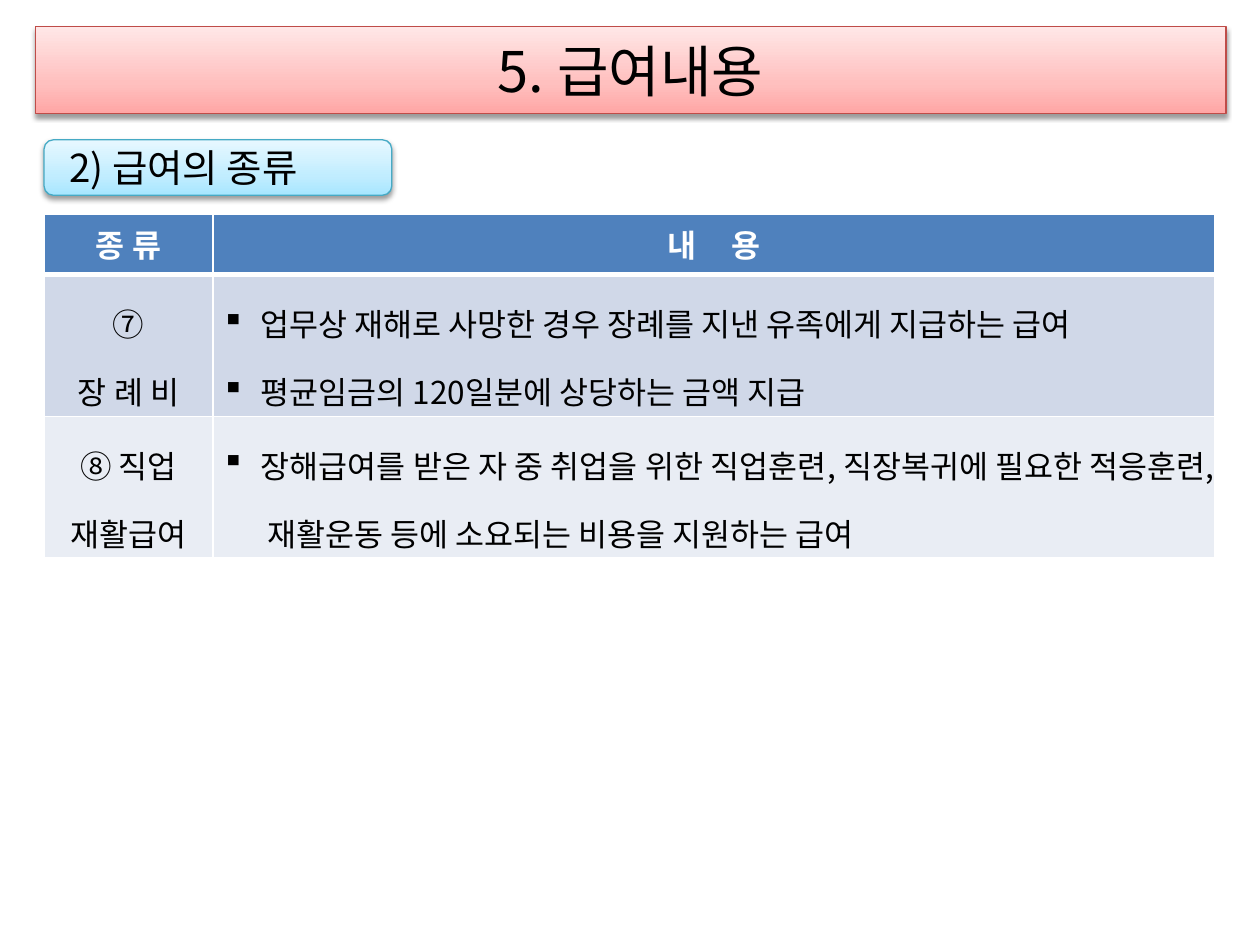
from copy import deepcopy
from dataclasses import dataclass

from lxml import etree
from pptx import Presentation
from pptx.dml.color import RGBColor
from pptx.enum import shapes, text
from pptx.oxml.ns import qn
from pptx.util import Inches, Pt

FONT = "Noto Sans CJK KR"
BLACK, WHITE = "000000", "FFFFFF"
HEADER_FILL = "4F81BD"
HEADER_GAP = 8  # points of letter spacing between the two header syllables
CENTER, JUSTIFY = text.PP_ALIGN.CENTER, text.PP_ALIGN.JUSTIFY


@dataclass
class Banner:
    left: float
    top: float
    width: float
    height: float
    stops: tuple[tuple[int, str], ...]
    line: str


@dataclass
class BenefitRow:
    kind: list[str]
    details: list[str]
    fill: str
    height: float


TITLE = Banner(0.28, 0.21, 9.45, 0.69,
               ((0, "FFA6A5"), (35, "FFC0BF"), (100, "FFE7E7")), "BF4C48")
SUBTITLE = Banner(0.35, 1.11, 2.76, 0.44,
                  ((0, "A7E6FF"), (35, "C1EDFF"), (100, "E7F8FF")), "46AAC5")
BENEFITS = [
    BenefitRow(["⑦", "장 례 비"],
               ["업무상 재해로 사망한 경우 장례를 지낸 유족에게 지급하는 급여",
                "평균임금의 120일분에 상당하는 금액 지급"], "D0D8E8", 0.93),
    BenefitRow(["⑧ 직업", "재활급여"],
               ["장해급여를 받은 자 중 취업을 위한 직업훈련, 직장복귀에 필요한 "
                "적응훈련, 재활운동 등에 소요되는 비용을 지원하는 급여"], "E9EDF4", 1.01),
]


def rgb(color: str) -> RGBColor:
    return RGBColor.from_string(color)


def add_element(parent, tag: str, **attributes):
    return etree.SubElement(parent, qn(tag), {k: str(v) for k, v in attributes.items()})


def style_paragraph(paragraph, size: float, color: str = BLACK, bold: bool = False,
                    align=None, spacing: float = 1.0, bullet: str = "") -> None:
    paragraph.alignment = align
    paragraph.line_spacing = spacing
    properties = paragraph._p.get_or_add_pPr()
    if bullet:
        indent = Inches(0.31)
        properties.set("marL", str(indent))
        properties.set("indent", str(-indent))
        add_element(properties, "a:buChar", char=bullet)
    font = paragraph.font
    font.name, font.size, font.bold = FONT, Pt(size), bold
    font.color.rgb = rgb(color)
    latin = properties.find(".//" + qn("a:latin"))
    latin.addnext(latin.makeelement(qn("a:ea"), {"typeface": FONT}))


def style_banner(shape, banner: Banner) -> None:
    """Place the shape and give it a three-stop gradient, outline and soft shadow."""
    shape.left, shape.top = Inches(banner.left), Inches(banner.top)
    shape.width, shape.height = Inches(banner.width), Inches(banner.height)
    shape.fill.gradient()
    shape.fill.gradient_angle = 90
    properties = shape.element.spPr
    stop_list = properties.find(".//" + qn("a:gsLst"))
    stop_list.append(deepcopy(stop_list[0]))
    for stop, (position, color) in zip(shape.fill.gradient_stops, banner.stops):
        stop.position = position / 100
        stop.color.rgb = rgb(color)
    shape.line.color.rgb = rgb(banner.line)
    shape.line.width = Pt(0.75)
    shape.shadow.inherit = False
    shadow = add_element(properties.find(qn("a:effectLst")), "a:outerShdw",
                         blurRad=Pt(3.1), dist=Pt(1.6), dir=90 * 60000, rotWithShape=0)
    add_element(add_element(shadow, "a:srgbClr", val=BLACK), "a:alpha", val=38000)
    shape.text_frame.vertical_anchor = text.MSO_ANCHOR.MIDDLE
    shape.text_frame.word_wrap = True


def style_cell(cell, fill: str, bottom_width: float = 1) -> None:
    properties = cell._tc.get_or_add_tcPr()
    for side in ("L", "R", "T", "B"):
        width = bottom_width if side == "B" else 1
        border = add_element(properties, f"a:ln{side}", w=Pt(width))
        add_element(add_element(border, "a:solidFill"), "a:srgbClr", val=WHITE)
    cell.fill.solid()
    cell.fill.fore_color.rgb = rgb(fill)


def fill_body_cell(cell, lines: list[str], fill: str, align, bullet: str = "") -> None:
    style_cell(cell, fill)
    cell.vertical_anchor = text.MSO_ANCHOR.MIDDLE
    cell.margin_left = cell.margin_right = Inches(0.07)
    cell.margin_top = cell.margin_bottom = Inches(0.02)
    cell.text = "\n".join(lines)
    for paragraph in cell.text_frame.paragraphs:
        style_paragraph(paragraph, 18, align=align, spacing=1.5, bullet=bullet)


def add_benefit_table(slide) -> None:
    heights = [0.48] + [row.height for row in BENEFITS]
    table = slide.shapes.add_table(len(heights), 2, Inches(0.35), Inches(1.7),
                                   Inches(9.29), Inches(sum(heights))).table
    for column, width in zip(table.columns, (1.34, 7.95)):
        column.width = Inches(width)
    for row, height in zip(table.rows, heights):
        row.height = Inches(height)

    for cell, runs in zip(table.rows[0].cells, (["종 류"], ["내 ", "용"])):
        style_cell(cell, HEADER_FILL, bottom_width=3)
        paragraph = cell.text_frame.paragraphs[0]
        for words in runs:
            paragraph.add_run().text = words
        if len(runs) > 1:
            paragraph.runs[0]._r.get_or_add_rPr().set("spc", str(HEADER_GAP * 100))
        style_paragraph(paragraph, 18, WHITE, bold=True, align=CENTER)

    for index, benefit in enumerate(BENEFITS, start=1):
        fill_body_cell(table.cell(index, 0), benefit.kind, benefit.fill, CENTER)
        fill_body_cell(table.cell(index, 1), benefit.details, benefit.fill, JUSTIFY, "▪")


def main() -> None:
    presentation = Presentation()
    presentation.slide_width, presentation.slide_height = Inches(10), Inches(7.5)
    slide = presentation.slides.add_slide(presentation.slide_layouts[5])

    title = slide.shapes.title
    style_banner(title, TITLE)
    title.text_frame.text = "5. 급여내용"
    style_paragraph(title.text_frame.paragraphs[0], 32, align=CENTER)

    add_benefit_table(slide)

    subtitle = slide.shapes.add_shape(shapes.MSO_SHAPE.ROUNDED_RECTANGLE, 0, 0, 0, 0)
    style_banner(subtitle, SUBTITLE)
    subtitle.text_frame.margin_left = Inches(0.18)
    subtitle.text_frame.text = "2) 급여의 종류"
    style_paragraph(subtitle.text_frame.paragraphs[0], 22, align=text.PP_ALIGN.LEFT)

    presentation.save("out.pptx")


if __name__ == "__main__":
    main()
